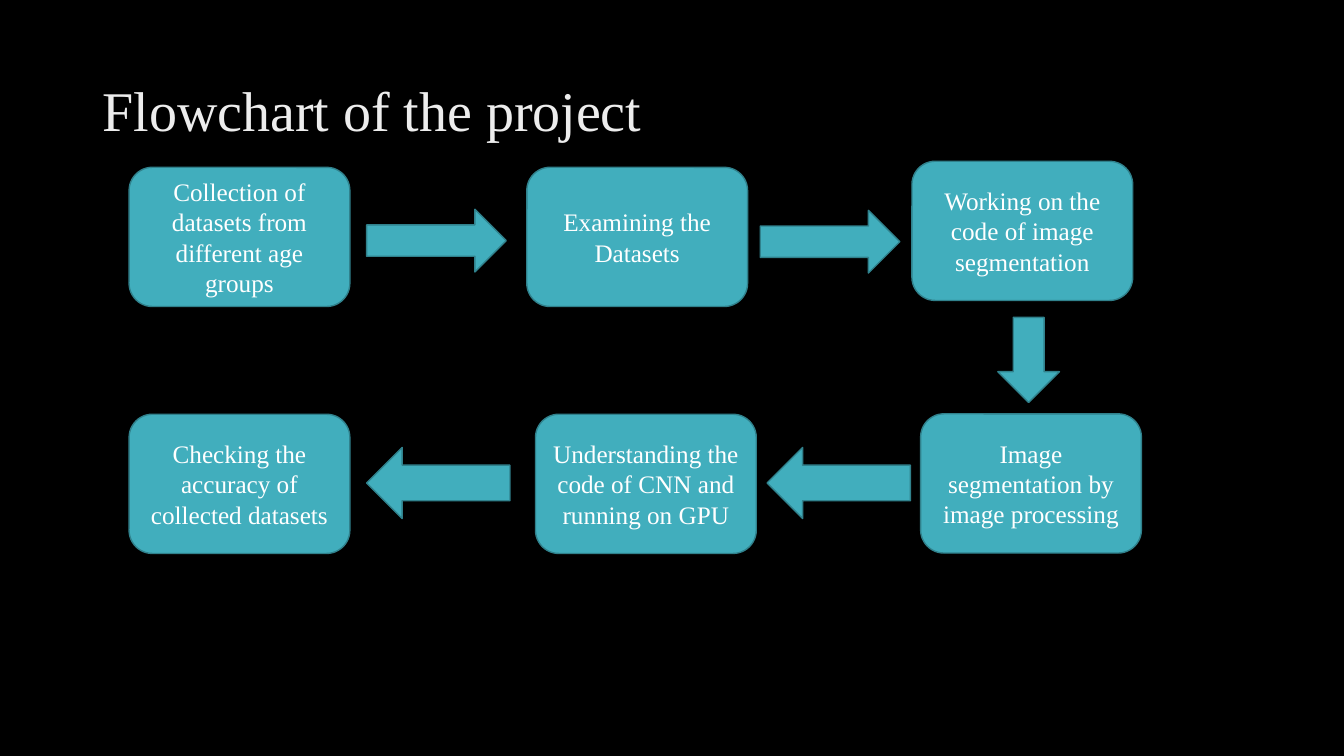
from pptx import Presentation
from pptx.dml.color import RGBColor
from pptx.enum.shapes import MSO_SHAPE
from pptx.enum.text import MSO_ANCHOR, PP_ALIGN
from pptx.util import Pt

BLACK = RGBColor(0x00, 0x00, 0x00)
WHITE = RGBColor(0xFF, 0xFF, 0xFF)
TITLE_GREY = RGBColor(0xED, 0xED, 0xED)
TEAL = RGBColor(0x41, 0xAE, 0xBD)
DARK_TEAL = RGBColor(0x30, 0x81, 0x8C)
FONT = "Times New Roman"
ROUNDED = MSO_SHAPE.ROUNDED_RECTANGLE
RIGHT, DOWN, LEFT = MSO_SHAPE.RIGHT_ARROW, MSO_SHAPE.DOWN_ARROW, MSO_SHAPE.LEFT_ARROW
MIDDLE = MSO_ANCHOR.MIDDLE
ALIGN_LEFT, ALIGN_CENTER = PP_ALIGN.LEFT, PP_ALIGN.CENTER

BOX_WIDTH, BOX_HEIGHT = 157.7, 99.4


def write_text(shape, text, size, color, align, line_spacing=1.0):
    frame = shape.text_frame
    frame.word_wrap = True
    frame.vertical_anchor = MIDDLE
    para = frame.paragraphs[0]
    para.alignment = align
    para.line_spacing = line_spacing
    span = para.add_run()
    span.text = text
    span.font.name = FONT
    span.font.size = Pt(size)
    span.font.color.rgb = color


def add_teal_shape(page, kind, left, top, width, height):
    shape = page.shapes.add_shape(kind, Pt(left), Pt(top), Pt(width), Pt(height))
    shape.shadow.inherit = False
    shape.fill.solid()
    shape.fill.fore_color.rgb = TEAL
    shape.line.color.rgb = DARK_TEAL
    shape.line.width = Pt(1)
    return shape


deck = Presentation()
deck.slide_width, deck.slide_height = Pt(960), Pt(540)
page = deck.slides.add_slide(deck.slide_layouts[5])
page.background.fill.solid()
page.background.fill.fore_color.rgb = BLACK

title = page.shapes.title
title.left, title.top, title.width, title.height = Pt(66), Pt(28.75), Pt(828), Pt(104.4)
write_text(title, "Flowchart of the project", 40, TITLE_GREY, ALIGN_LEFT, line_spacing=0.9)

# Steps in reading order of the flow: left, top, text
steps = [
    (92.2, 119.5, "Collection of datasets from different age groups"),
    (376.3, 119.5, "Examining the Datasets"),
    (651.4, 115.2, "Working on the code of image segmentation"),
    (657.6, 295.6, "Image segmentation by image processing"),
    (382.5, 295.9, "Understanding the code of CNN and running on GPU"),
    (92.2, 295.9, "Checking the accuracy of collected datasets"),
]
for left, top, text in steps:
    box = add_teal_shape(page, ROUNDED, left, top, BOX_WIDTH, BOX_HEIGHT)
    write_text(box, text, 18, WHITE, ALIGN_CENTER)

# Arrows between consecutive steps: kind, left, top, width, height
arrows = [
    (RIGHT, 261.9, 149.5, 99.7, 44.8),
    (RIGHT, 543, 150.3, 99.7, 44.8),
    (DOWN, 712.8, 226.7, 44, 60.8),
    (LEFT, 547.9, 319.6, 102.4, 50.8),
    (LEFT, 261.9, 319.6, 102.4, 50.8),
]
for arrow in arrows:
    add_teal_shape(page, *arrow)

deck.save("out.pptx")
